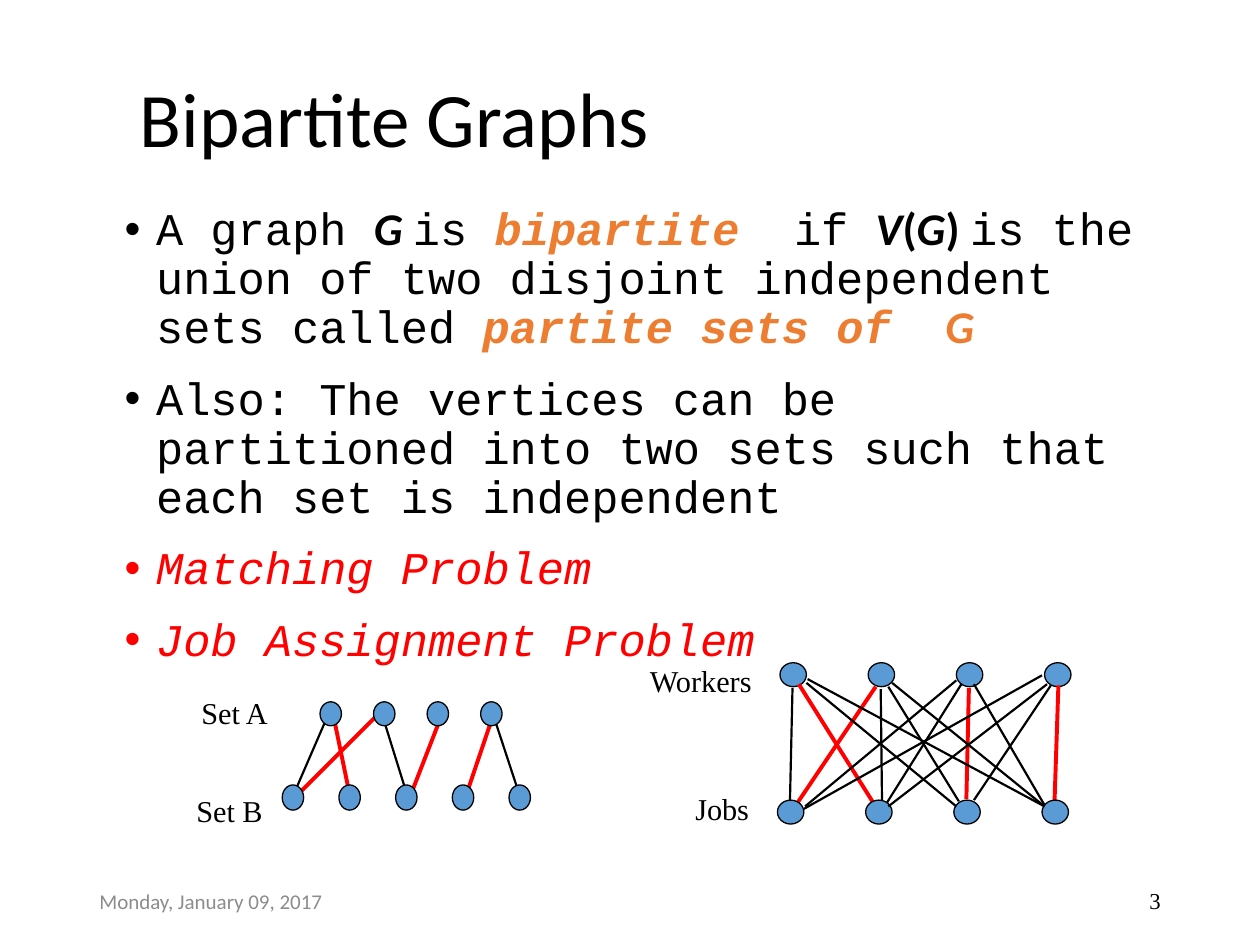
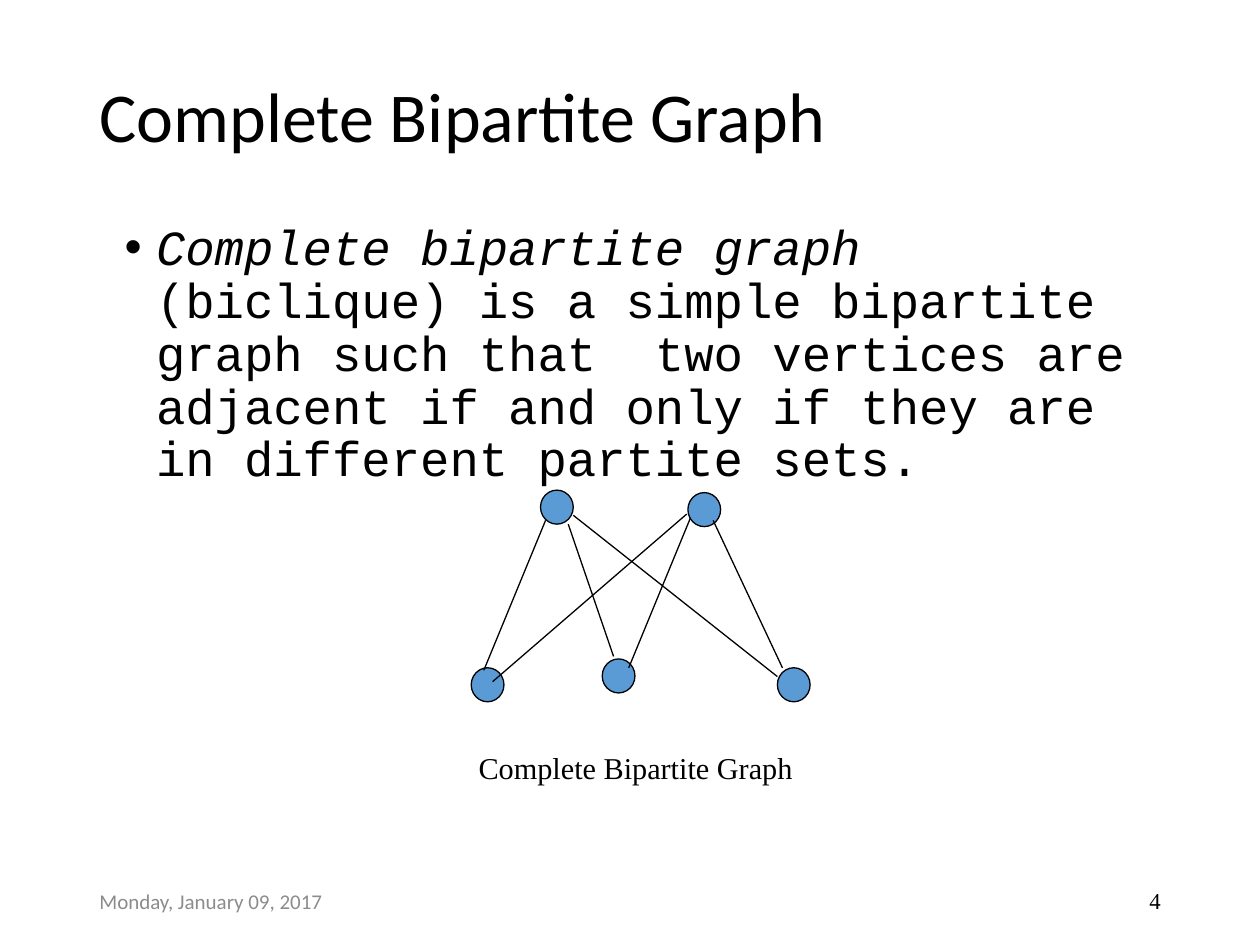
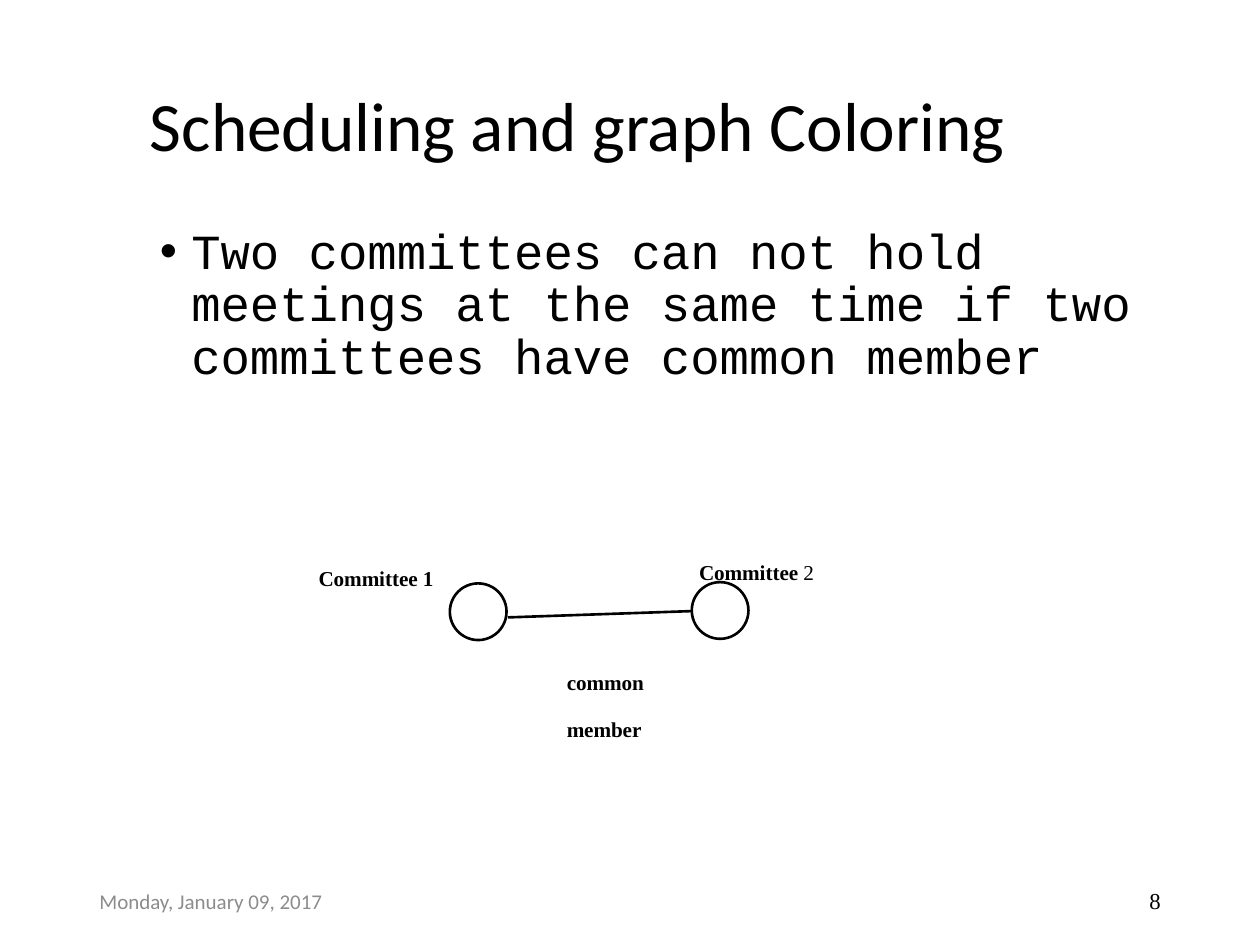
from dataclasses import dataclass
from typing import Iterable, Optional

from lxml.etree import SubElement
from pptx import Presentation
from pptx.dml.color import RGBColor
from pptx.enum.shapes import MSO_CONNECTOR as Conn, MSO_SHAPE as Shp
from pptx.enum.text import MSO_ANCHOR as Anchor, MSO_AUTO_SIZE as Auto, PP_ALIGN as Align
from pptx.oxml.ns import qn
from pptx.util import Inches, Pt


@dataclass(frozen=True)
class Theme:
    black: str = "000000"
    red: str = "FF0000"
    orange: str = "ED7D31"
    node_blue: str = "5B9BD5"
    gray: str = "8C8C8C"
    sans: str = "Calibri"
    mono: str = "Courier New"
    serif: str = "Times New Roman"
    body: float = 28
    body_small: float = 25.9
    label: float = 17.3
    committee: float = 20.8
    date: float = 12
    number: float = 13
    thin: float = 0.75
    edge: float = 1.25
    ring: float = 1.5
    match: float = 2.25


T = Theme()


@dataclass(frozen=True)
class Box:
    x: float
    y: float
    w: float
    h: float

    def lengths(self) -> tuple:
        return tuple(Inches(v) for v in (self.x, self.y, self.w, self.h))


@dataclass(frozen=True)
class Span:
    text: str
    font: str = T.mono
    color: str = T.black
    bold: bool = False
    italic: bool = False


@dataclass(frozen=True)
class NodeRow:
    x: float
    y: float
    step: float
    count: int
    w: float
    h: float

    def boxes(self) -> list[Box]:
        return [Box(self.x + i * self.step, self.y, self.w, self.h) for i in range(self.count)]


@dataclass(frozen=True)
class Edge:
    x1: float
    y1: float
    x2: float
    y2: float
    color: str = T.black
    width: float = T.edge


def matched(x1: float, y1: float, x2: float, y2: float) -> Edge:
    return Edge(x1, y1, x2, y2, T.red, T.match)


def style(r, span: Span, size: float, baseline: int = 0) -> None:
    f = r.font
    f.name, f.size = span.font, Pt(size)
    f.bold, f.italic = span.bold, span.italic
    f.color.rgb = RGBColor.from_string(span.color)
    if baseline:
        r._r.get_or_add_rPr().set("baseline", str(baseline * 1000))


def fill_paragraph(p, spans: Iterable[Span], size: float, baseline: int = 0) -> None:
    for span in spans:
        r = p.add_run()
        r.text = span.text
        style(r, span, size, baseline)


def add_text(s, box: Box, spans: list[Span], size: float, align=Align.LEFT,
             anchor=Anchor.TOP, baseline: int = 0) -> None:
    tf = s.shapes.add_textbox(*box.lengths()).text_frame
    tf.word_wrap, tf.vertical_anchor = True, anchor
    p = tf.paragraphs[0]
    p.alignment = align
    fill_paragraph(p, spans, size, baseline)


def add_label(s, box: Box, text: str) -> None:
    add_text(s, box, [Span(text, T.serif)], T.label)


def add_committee_label(s, box: Box, bold: str, plain: str = "") -> None:
    spans = [Span(bold, T.serif, bold=True)]
    if plain:
        spans.append(Span(plain, T.serif))
    add_text(s, box, spans, T.committee, baseline=-16)


def add_bullets(s, box: Box, items: list[list[Span]], size: float) -> None:
    tf = s.shapes.add_textbox(*box.lengths()).text_frame
    tf.word_wrap = True
    for i, spans in enumerate(items):
        p = tf.add_paragraph() if i else tf.paragraphs[0]
        p.line_spacing = 0.9
        p.space_before = Pt(size / 2)
        pPr = p._p.get_or_add_pPr()
        pPr.set("marL", str(Inches(0.25)))
        pPr.set("indent", str(Inches(-0.25)))
        SubElement(pPr, qn("a:buFont")).set("typeface", "Arial")
        SubElement(pPr, qn("a:buChar")).set("char", "•")
        fill_paragraph(p, spans, size)


def add_nodes(s, boxes: Iterable[Box], fill: Optional[str] = T.node_blue,
              width: float = T.thin) -> None:
    for box in boxes:
        sp = s.shapes.add_shape(Shp.OVAL, *box.lengths())
        sp.shadow.inherit = False
        if fill:
            sp.fill.solid()
            sp.fill.fore_color.rgb = RGBColor.from_string(fill)
        else:
            sp.fill.background()
        sp.line.color.rgb = RGBColor.from_string(T.black)
        sp.line.width = Pt(width)


def add_edges(s, edges: Iterable[Edge]) -> None:
    for e in edges:
        ends = (Inches(v) for v in (e.x1, e.y1, e.x2, e.y2))
        line = s.shapes.add_connector(Conn.STRAIGHT, *ends)
        line.line.color.rgb = RGBColor.from_string(e.color)
        line.line.width = Pt(e.width)
        SubElement(line._element.spPr, qn("a:effectLst"))


def new_slide(prs, title: str, box: Box, size: float, number: int):
    s = prs.slides.add_slide(prs.slide_layouts[5])
    sp = s.shapes.title
    sp.left, sp.top, sp.width, sp.height = box.lengths()
    tf = sp.text_frame
    tf.text = title
    tf.word_wrap, tf.auto_size, tf.vertical_anchor = True, Auto.NONE, Anchor.MIDDLE
    p = tf.paragraphs[0]
    p.alignment, p.line_spacing = Align.LEFT, 0.9
    style(p.runs[0], Span(title, T.sans), size)
    add_text(s, Box(7.06, 6.95, 2.25, 0.4), [Span(str(number), T.serif)], T.number,
             Align.RIGHT, Anchor.MIDDLE)
    add_text(s, Box(0.69, 6.95, 2.25, 0.4), [Span("Monday, January 09, 2017", T.sans, T.gray)],
             T.date, anchor=Anchor.MIDDLE)
    return s


def bipartite_slide(prs) -> None:
    s = new_slide(prs, "Bipartite Graphs", Box(1.01, 0.47, 7.82, 1), 44, 3)
    add_bullets(s, Box(0.89, 1.59, 8.22, 3.41), [
        [Span("A graph "),
         Span("G ", T.sans, bold=True, italic=True),
         Span("is "),
         Span("bipartite", color=T.orange, bold=True, italic=True),
         Span("  if "),
         Span("V", T.sans, bold=True, italic=True),
         Span("(", T.sans, bold=True),
         Span("G", T.sans, bold=True, italic=True),
         Span(") ", T.sans, bold=True),
         Span("is the union of two disjoint independent sets called "),
         Span("partite sets of  ", color=T.orange, bold=True, italic=True),
         Span("G", T.sans, T.orange, bold=True, italic=True)],
        [Span("Also: The vertices can be partitioned into two sets such that "
              "each set is independent")],
        [Span("Matching Problem", color=T.red, italic=True)],
        [Span("Job Assignment Problem", color=T.red, italic=True)],
    ], T.body_small)

    workers = NodeRow(6.19, 5.26, 0.7, 4, 0.21, 0.19)
    jobs = NodeRow(6.17, 6.35, 0.7, 4, 0.21, 0.19)
    add_nodes(s, workers.boxes())
    add_edges(s, [
        Edge(6.29, 5.46, 6.27, 6.35), Edge(7.05, 5.45, 7.61, 6.36),
        matched(6.34, 5.43, 6.93, 6.37), matched(6.95, 5.45, 6.27, 6.46),
        Edge(7.73, 5.43, 8.29, 6.39),
        matched(8.4, 5.44, 8.37, 6.35), matched(7.69, 5.46, 7.67, 6.34),
    ])
    add_nodes(s, jobs.boxes())
    add_edges(s, [
        Edge(6.4, 5.42, 7.59, 6.4), Edge(6.41, 5.39, 8.29, 6.4),
        Edge(6.99, 5.47, 7, 6.35), Edge(7.08, 5.42, 8.29, 6.4),
        Edge(7.63, 5.43, 7.04, 6.37), Edge(7.59, 5.4, 6.39, 6.4),
        Edge(8.34, 5.44, 7.73, 6.35), Edge(8.27, 5.36, 6.38, 6.42),
        Edge(8.31, 5.43, 7.05, 6.4),
    ])
    add_label(s, Box(5.06, 5.21, 1.04, 0.39), "Workers")
    add_label(s, Box(5.42, 6.22, 0.7, 0.39), "Jobs")

    add_edges(s, [
        Edge(2.61, 5.66, 2.32, 6.33), Edge(3.02, 5.63, 3.25, 6.37),
        matched(2.64, 5.65, 2.78, 6.33), matched(3.02, 5.65, 2.31, 6.36),
        Edge(3.9, 5.63, 4.13, 6.33),
        matched(3.92, 5.66, 3.69, 6.34), matched(3.5, 5.69, 3.24, 6.36),
    ])
    add_label(s, Box(1.5, 5.46, 0.73, 0.39), "Set A")
    add_label(s, Box(1.46, 6.24, 0.75, 0.39), "Set B")
    set_a = NodeRow(2.54, 5.57, 0.425, 4, 0.17, 0.19)
    set_b = NodeRow(2.24, 6.23, 0.45, 5, 0.17, 0.2)
    add_nodes(s, set_a.boxes() + set_b.boxes())


def complete_slide(prs) -> None:
    s = new_slide(prs, "Complete Bipartite Graph", Box(0.69, 0.54, 8.22, 0.82), 40, 4)
    add_bullets(s, Box(0.89, 1.72, 8.3, 2.24), [
        [Span("Complete bipartite graph", italic=True),
         Span(" (biclique) is a simple bipartite graph such that  two vertices are "
              "adjacent if and only if they are in different partite sets.")],
    ], T.body)
    add_label(s, Box(3.7, 5.9, 2.89, 0.39), "Complete Bipartite Graph")
    corners = [(4.29, 3.89), (5.46, 3.91), (3.74, 5.3), (4.78, 5.23), (6.17, 5.3)]
    add_nodes(s, [Box(x, y, 0.26, 0.27) for x, y in corners])
    ends = [
        (4.33, 4.13, 3.84, 5.32), (4.51, 4.16, 4.87, 5.21), (4.55, 4.09, 6.17, 5.37),
        (5.45, 4.08, 3.91, 5.41), (5.48, 4.11, 4.99, 5.3), (5.66, 4.13, 6.21, 5.3),
    ]
    add_edges(s, [Edge(*e, width=T.thin) for e in ends])


def scheduling_slide(prs) -> None:
    s = new_slide(prs, "Scheduling and graph Coloring", Box(1.09, 0.51, 7.82, 1.03), 39.6, 8)
    add_bullets(s, Box(1.17, 1.75, 8.01, 2.54), [
        [Span("Two committees can not hold meetings at the same time if two "
              "committees have common member")],
    ], T.body)
    add_nodes(s, [Box(3.57, 4.63, 0.45, 0.45), Box(5.49, 4.62, 0.45, 0.45)], None, T.ring)
    add_edges(s, [Edge(4.03, 4.9, 5.49, 4.85, width=T.ring)])
    add_committee_label(s, Box(4.4, 5.1, 0.96, 0.57), "common member")
    add_committee_label(s, Box(2.43, 4.27, 1.45, 0.33), "Committee 1")
    add_committee_label(s, Box(5.45, 4.22, 1.76, 0.33), "Committee", " 2")


def main() -> None:
    prs = Presentation()
    prs.slide_width, prs.slide_height = Inches(10), Inches(7.5)
    bipartite_slide(prs)
    complete_slide(prs)
    scheduling_slide(prs)
    prs.save("out.pptx")


if __name__ == "__main__":
    main()
